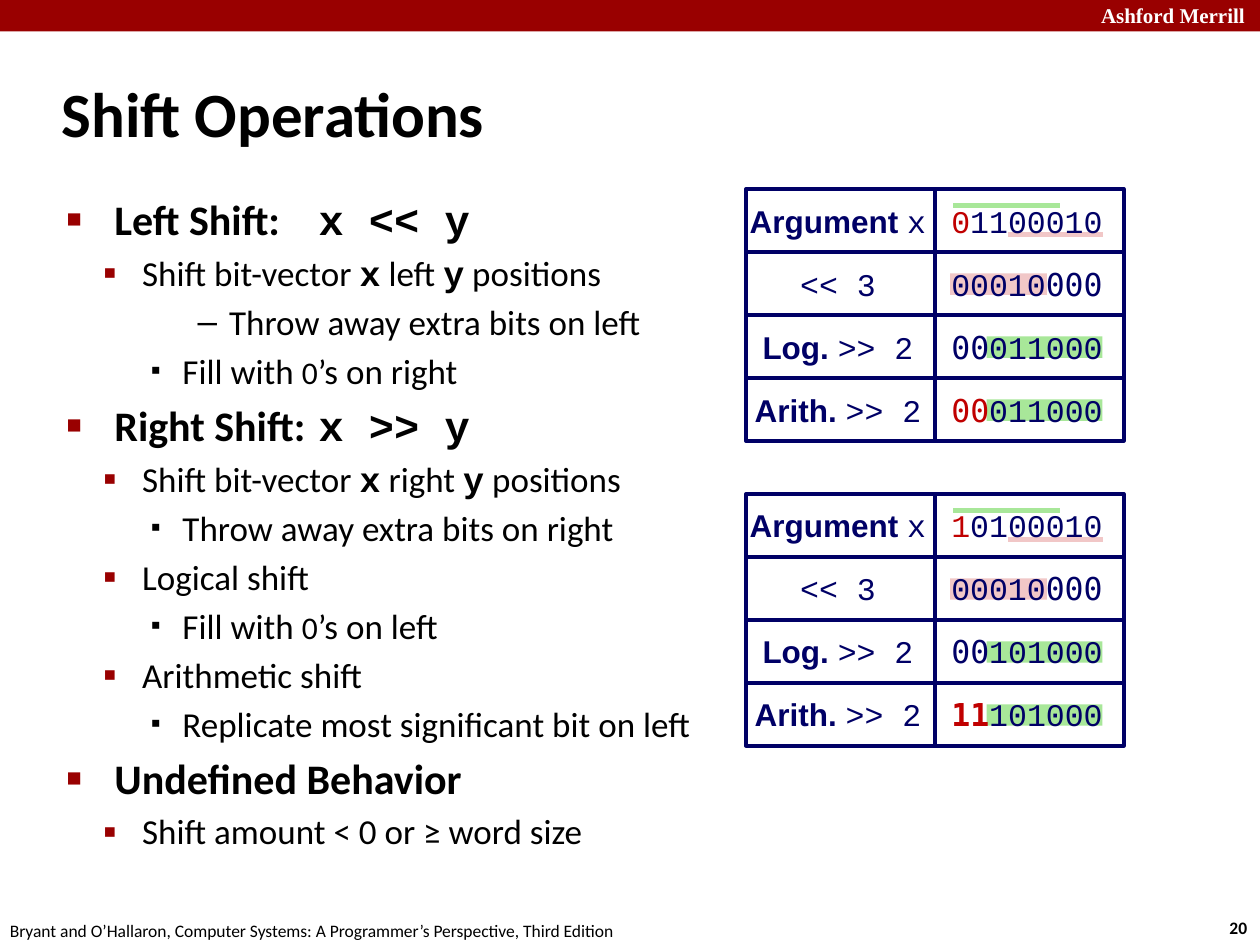
import pptx
import pptx.dml.color
import pptx.enum.shapes
import pptx.enum.text
import pptx.oxml.ns
import pptx.util
from lxml import etree

Inches = pptx.util.Inches
NAVY, RED, CRIMSON = "000066", "990000", "C00000"
GREEN, PINK, BLACK, WHITE = "A8E799", "F1C7C7", "000000", "FFFFFF"
CODE, CODE_ALT = "Courier New", "DejaVu Sans Mono"
BULLETS = [
    ("■", 0.38, -0.38, 60, RED),
    ("▪", 0.6, -0.31, 110, RED),
    ("▪", 0.92, -0.25, 80, None),
    ("–", 1.29, -0.25, None, None),
]


def color(value):
    return pptx.dml.color.RGBColor.from_string(value)


def add_run(paragraph, text, size=20, font="Calibri", fill=BLACK, bold=False):
    run = paragraph.add_run()
    run.text = text
    run.font.size = pptx.util.Pt(size)
    run.font.name = font
    run.font.bold = bold
    run.font.color.rgb = color(fill)


def add_text(slide, text, left, top, width, height, **formatting):
    shape = slide.shapes.add_textbox(Inches(left), Inches(top), Inches(width), Inches(height))
    shape.text_frame.word_wrap = False
    add_run(shape.text_frame.paragraphs[0], text, **formatting)


def add_rectangle(slide, left, top, width, height, fill=None, outline=None):
    shape = slide.shapes.add_shape(
        pptx.enum.shapes.MSO_SHAPE.RECTANGLE,
        Inches(left), Inches(top), Inches(width), Inches(height))
    shape.shadow.inherit = False
    if fill:
        shape.fill.solid()
        shape.fill.fore_color.rgb = color(fill)
    else:
        shape.fill.background()
    if outline:
        shape.line.color.rgb = color(outline)
        shape.line.width = pptx.util.Pt(2)
    else:
        shape.line.fill.background()
    return shape


def add_cell(slide, left, top, runs):
    shape = add_rectangle(slide, left, top, 1.5, 0.5, outline=NAVY)
    frame = shape.text_frame
    frame.word_wrap = False
    frame.vertical_anchor = pptx.enum.text.MSO_ANCHOR.MIDDLE
    frame.margin_left = frame.margin_top = frame.margin_bottom = Inches(0.06)
    frame.margin_right = Inches(0.1)
    paragraph = frame.paragraphs[0]
    paragraph.alignment = pptx.enum.text.PP_ALIGN.CENTER
    for text, formatting in runs:
        add_run(paragraph, text, **{"size": 18, "font": CODE, "fill": NAVY, **formatting})


def add_line(slide, start, end, y, stroke):
    line = slide.shapes.add_connector(
        pptx.enum.shapes.MSO_CONNECTOR.STRAIGHT,
        Inches(start), Inches(y), Inches(end), Inches(y))
    line.line.color.rgb = color(stroke)
    line.line.width = pptx.util.Pt(3)
    etree.SubElement(line._element.spPr, pptx.oxml.ns.qn("a:effectLst"))


def add_element(parent, tag, **attributes):
    return etree.SubElement(parent, pptx.oxml.ns.qn(tag), attributes)


def format_bullet(paragraph, level):
    character, margin, indent, size, fill = BULLETS[level]
    paragraph.level = level
    properties = paragraph._p.get_or_add_pPr()
    properties.set("marL", str(Inches(margin)))
    properties.set("indent", str(Inches(indent)))
    add_element(add_element(properties, "a:spcBef"), "a:spcPct", val="20000")
    if fill:
        add_element(add_element(properties, "a:buClr"), "a:srgbClr", val=fill)
    if size:
        add_element(properties, "a:buSzPct", val=str(size * 1000))
    add_element(properties, "a:buFont", typeface="Arial")
    add_element(properties, "a:buChar", char=character)


def add_outline(slide, items):
    shape = slide.shapes.add_textbox(Inches(0.43), Inches(1.49), Inches(8.64), Inches(5.44))
    frame = shape.text_frame
    frame.word_wrap = True
    for index, (level, runs) in enumerate(items):
        paragraph = frame.add_paragraph() if index else frame.paragraphs[0]
        format_bullet(paragraph, level)
        heading = {"size": 24, "bold": True} if level == 0 else {}
        for text, formatting in runs:
            add_run(paragraph, text, **{**heading, **formatting})


def add_shift_table(slide, top, argument, logical, sign):
    for offset in (1.17, 1.67):
        add_rectangle(slide, 7.83, top + offset, 0.92, 0.17, fill=GREEN)
    add_rectangle(slide, 7.54, top + 0.67, 0.77, 0.17, fill=PINK)
    add_line(slide, 8.75, 8, top + 0.36, PINK)
    add_line(slide, 8.41, 7.56, top + 0.13, GREEN)
    label = {"font": "Arial", "bold": True}
    filled = {"font": CODE_ALT}
    rows = [
        ([("Argument ", label), ("x", {})],
         [(argument[0], {"fill": CRIMSON}), (argument[1:], {})]),
        ([("<< 3", {})], [("00010", {}), ("000", filled)]),
        ([("Log. ", label), (">> 2", {})], [("00", filled), (logical, {})]),
        ([("Arith. ", label), (">> 2", {})],
         [(sign * 2, {**filled, "fill": CRIMSON, "bold": sign == "1"}), (logical, {})]),
    ]
    for row, cells in enumerate(rows):
        for column, runs in enumerate(cells):
            add_cell(slide, 5.92 + 1.5 * column, top + 0.5 * row, runs)


def format_title(slide, text):
    title = slide.shapes.title
    title.left, title.top = Inches(0.39), Inches(0.48)
    title.width, title.height = Inches(8.3), Inches(0.83)
    frame = title.text_frame
    frame.auto_size = pptx.enum.text.MSO_AUTO_SIZE.NONE
    frame.vertical_anchor = pptx.enum.text.MSO_ANCHOR.MIDDLE
    frame.paragraphs[0].alignment = pptx.enum.text.PP_ALIGN.LEFT
    add_run(frame.paragraphs[0], text, size=36, bold=True)


def shift_sentence(direction):
    code = {"font": CODE, "bold": True}
    return [("Shift bit-vector ", {}), ("x", code), (f" {direction} ", {}),
            ("y", code), (" positions", {})]


def zero_fill(direction):
    return [("Fill with ", {}), ("0", {"size": 18}), (f"’s on {direction}", {})]


def main():
    presentation = pptx.Presentation()
    presentation.slide_width, presentation.slide_height = Inches(10), Inches(7.5)
    slide = presentation.slides.add_slide(presentation.slide_layouts[5])
    add_rectangle(slide, 0, 0, 10, 0.25, fill=RED)
    add_text(slide, "Ashford Merrill", 8.64, -0.03, 1.43, 0.3,
             size=12, font="Times New Roman", fill=WHITE, bold=True)
    add_text(slide, "20", 9.66, 7.23, 0.37, 0.27, size=10, bold=True)
    add_text(slide, "Bryant and O’Hallaron, Computer Systems: A Programmer’s Perspective, Third Edition",
             -0.02, 7.25, 5.08, 0.27, size=10)
    format_title(slide, "Shift Operations")
    add_outline(slide, [
        (0, [("Left Shift: \t", {}), ("x << y", {"font": CODE})]),
        (1, shift_sentence("left")),
        (3, [("Throw away extra bits on left", {})]),
        (2, zero_fill("right")),
        (0, [("Right Shift: \t", {}), ("x >> y", {"font": CODE})]),
        (1, shift_sentence("right")),
        (2, [("Throw away extra bits on right", {})]),
        (1, [("Logical shift", {})]),
        (2, zero_fill("left")),
        (1, [("Arithmetic shift", {})]),
        (2, [("Replicate most significant bit on left", {})]),
        (0, [("Undefined Behavior", {})]),
        (1, [("Shift amount < 0 or ≥ word size", {})]),
    ])
    add_shift_table(slide, 1.5, "01100010", "011000", "0")
    add_shift_table(slide, 3.92, "10100010", "101000", "1")
    presentation.save("out.pptx")


if __name__ == "__main__":
    main()
